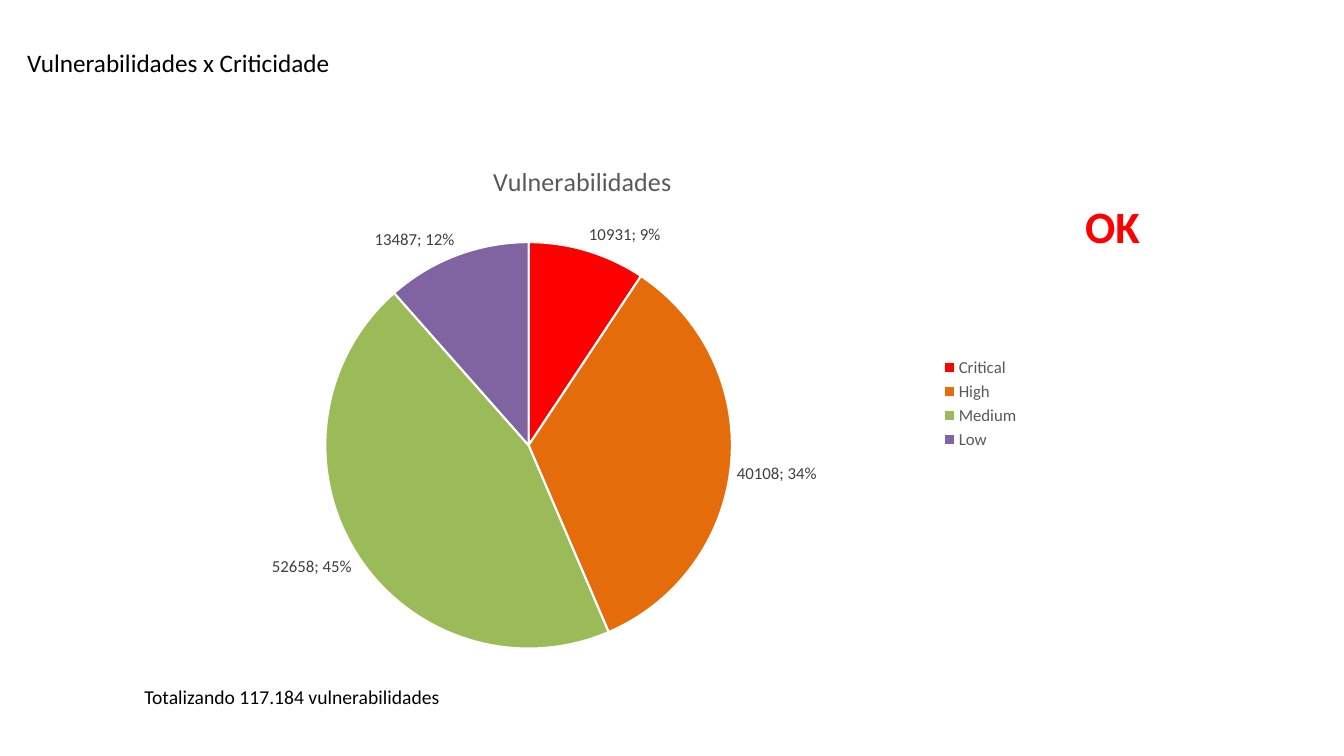
from lxml import etree
from pptx import Presentation
from pptx.chart.data import CategoryChartData
from pptx.dml.color import RGBColor
from pptx.enum.chart import XL_CHART_TYPE, XL_LABEL_POSITION, XL_LEGEND_POSITION
from pptx.enum.text import MSO_ANCHOR, MSO_AUTO_SIZE, PP_ALIGN
from pptx.oxml.ns import qn
from pptx.util import Inches, Pt

PIE = XL_CHART_TYPE.PIE
OUTSIDE = XL_LABEL_POSITION.OUTSIDE_END
RIGHT = XL_LEGEND_POSITION.RIGHT
LEFT = PP_ALIGN.LEFT
TOP = MSO_ANCHOR.TOP
FIT_SHAPE = MSO_AUTO_SIZE.SHAPE_TO_FIT_TEXT

WIDTH, HEIGHT = 13.33, 7.5
FONT = "Calibri"
COLORS = {
    "text": "000000", "label": "404040", "muted": "595959", "white": "FFFFFF",
    "Critical": "FF0000", "High": "E46C0A", "Medium": "9BBB59", "Low": "8064A2",
}
VULNERABILITIES = {"Critical": 10931, "High": 40108, "Medium": 52658, "Low": 13487}
# Shares of the chart area
PIE_AREA = {"x": 0.21, "y": 0.19, "w": 0.46, "h": 0.78}


def color(name):
    return RGBColor.from_string(COLORS[name])


def style_font(font, size, color_name, bold=False):
    for key, value in {"name": FONT, "size": Pt(size), "bold": bold}.items():
        setattr(font, key, value)
    font.color.rgb = color(color_name)


def place(left, top, width, height):
    return Inches(left), Inches(top), Inches(width), Inches(height)


def write(box, text, size, color_name, bold=False, wrap=True):
    frame = box.text_frame
    settings = {"word_wrap": wrap, "vertical_anchor": TOP, "auto_size": FIT_SHAPE}
    for key, value in settings.items():
        setattr(frame, key, value)
    para = frame.paragraphs[0]
    para.alignment = LEFT
    span = para.add_run()
    span.text = text
    style_font(span.font, size, color_name, bold)


def add_title(page, text):
    title = page.shapes.title
    title.left, title.top, title.width, title.height = place(0.17, 0.42, 6.5, 0.4)
    write(title, text, 18, "text")


def add_text(page, area, text, size, color_name, **options):
    write(page.shapes.add_textbox(*place(*area)), text, size, color_name, **options)


def set_pie_area(chart):
    plot_area = chart._chartSpace.find(".//" + qn("c:plotArea"))
    for old in plot_area.findall(qn("c:layout")):
        plot_area.remove(old)
    layout = etree.Element(qn("c:layout"))
    manual = etree.SubElement(layout, qn("c:manualLayout"))
    values = {"layoutTarget": "inner", "xMode": "edge", "yMode": "edge", **PIE_AREA}
    for tag, value in values.items():
        etree.SubElement(manual, qn("c:" + tag)).set("val", str(value))
    plot_area.insert(0, layout)


def label_slices(series):
    labels = series.data_labels
    settings = {"show_value": True, "show_percentage": True, "position": OUTSIDE}
    for key, value in settings.items():
        setattr(labels, key, value)
    style_font(labels.font, 12, "label")
    separator = etree.Element(qn("c:separator"))
    separator.text = "; "
    labels._element.find(qn("c:showBubbleSize")).addnext(separator)


def add_pie(page, area, name, values):
    data = CategoryChartData()
    data.categories = list(values)
    data.add_series(name, list(values.values()))
    chart = page.shapes.add_chart(PIE, *place(*area), data).chart
    style_font(chart.font, 10, "text")

    # Title and legend
    chart.has_title = True
    para = chart.chart_title.text_frame.paragraphs[0]
    span = para.add_run()
    span.text = name
    style_font(span.font, 18.6, "muted")
    chart.has_legend = True
    chart.legend.position = RIGHT
    chart.legend.include_in_layout = False
    style_font(chart.legend.font, 12, "muted")

    # Slices
    plot = chart.plots[0]
    plot.vary_by_categories = True
    series = plot.series[0]
    for index, level in enumerate(values):
        slice_format = series.points[index].format
        slice_format.fill.solid()
        slice_format.fill.fore_color.rgb = color(level)
        slice_format.line.color.rgb = color("white")
        slice_format.line.width = Pt(1.5)
    label_slices(series)
    set_pie_area(chart)


def main():
    deck = Presentation()
    deck.slide_width, deck.slide_height = Inches(WIDTH), Inches(HEIGHT)
    page = deck.slides.add_slide(deck.slide_layouts.get_by_name("Title Only"))
    margin = WIDTH / 10

    add_title(page, "Vulnerabilidades x Criticidade")
    add_pie(page, (margin, 1.42, WIDTH * 2 / 3, 5.17), "Vulnerabilidades", VULNERABILITIES)
    add_text(page, (margin, HEIGHT * 0.9, 5, 0.34),
             "Totalizando 117.184 vulnerabilidades", 14, "text")
    add_text(page, (WIDTH * 0.8, 1.92, 0.75, 0.64), "OK", 32, "Critical",
             bold=True, wrap=False)

    deck.save("out.pptx")


main()
